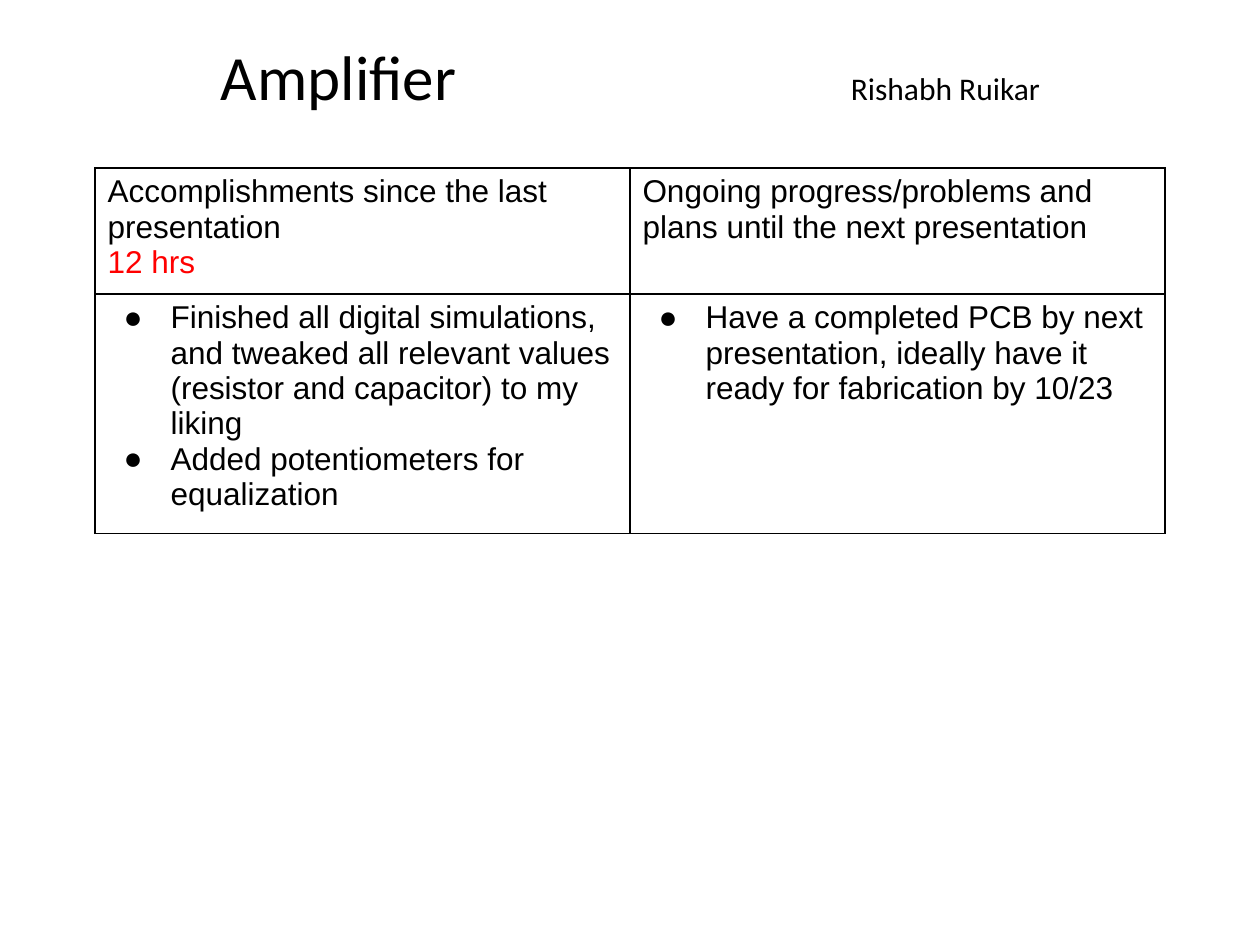
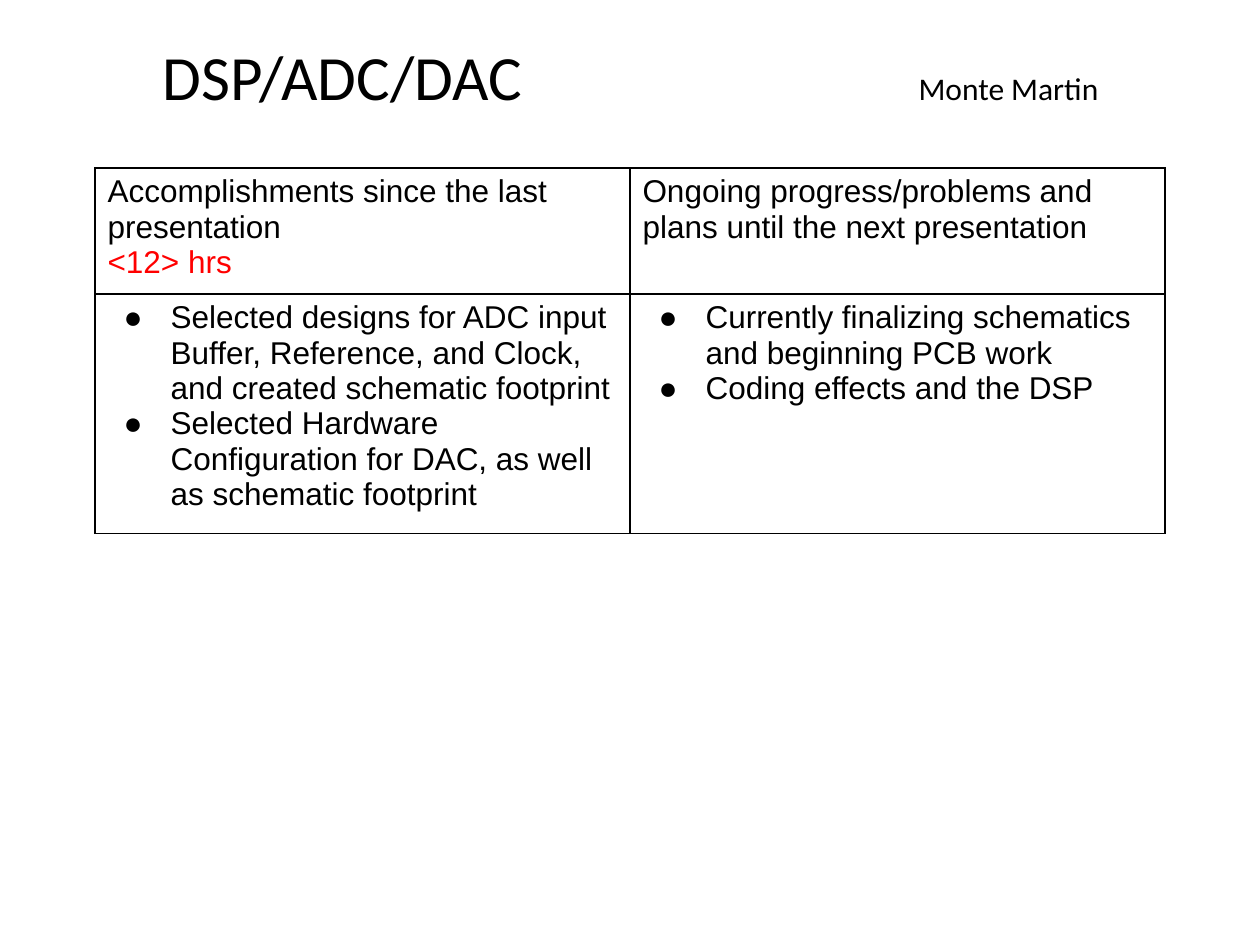
from pptx import Presentation
from pptx.dml.color import RGBColor
from pptx.enum.text import MSO_AUTO_SIZE as AutoSize, PP_ALIGN as Align
from pptx.oxml.ns import qn
from pptx.util import Pt
from lxml.etree import SubElement

EMU_PER_PX = 914400 / 126
BLACK = RGBColor(0, 0, 0)
RED = RGBColor(255, 0, 0)

TITLE = dict(name="Calibri", size=Pt(36))
PRESENTER = dict(name="Calibri", size=Pt(18))
BODY = dict(name="Arial", size=Pt(18))

TITLE_BOX = (53, 31, 1155, 89)
TABLE_LEFT, TABLE_TOP = 95, 168
COLUMN_WIDTH = 535
ROW_HEIGHTS = (88, 239)
BULLET_INDENT, BULLET_HANG = 63, 47

# How a piece of cell text starts
PLAIN, BULLET, NEW_LINE = "plain", "bullet", "new line"

DONE_HEADING = "Accomplishments since the last presentation"
PLANS_HEADING = "Ongoing progress/problems and plans until the next presentation"

# name_stop is the distance from the start of the topic to the presenter's name
REPORTS = [
    dict(
        topic="Amplifier", presenter="Rishabh Ruikar", name_stop=630,
        hours="12 hrs", hours_start=PLAIN,
        done=["Finished all digital simulations, and tweaked all relevant values "
              "(resistor and capacitor) to my liking",
              "Added potentiometers for equalization"],
        plans=["Have a completed PCB by next presentation, ideally have it ready "
               "for fabrication by 10/23"],
    ),
    dict(
        topic="DSP/ADC/DAC", presenter="Monte Martin", name_stop=756,
        hours="<12> hrs", hours_start=NEW_LINE,
        done=["Selected designs for ADC input Buffer, Reference, and Clock, "
              "and created schematic footprint",
              "Selected Hardware Configuration for DAC, as well as schematic footprint"],
        plans=["Currently finalizing schematics and beginning PCB work",
               "Coding effects and the DSP"],
    ),
]


def px(length):
    return round(length * EMU_PER_PX)


class Deck:
    def __init__(self):
        self.prs = Presentation()
        self.prs.slide_width, self.prs.slide_height = px(1260), px(945)
        self.slide = None

    def new_slide(self):
        self.slide = self.prs.slides.add_slide(self.prs.slide_layouts[6])

    def run(self, paragraph, text, style, color=BLACK):
        run = paragraph.add_run()
        run.text = text
        for attribute, value in style.items():
            setattr(run.font, attribute, value)
        run.font.color.rgb = color

    def title(self, topic, presenter, name_stop):
        frame = self.slide.shapes.add_textbox(*map(px, TITLE_BOX)).text_frame
        frame.word_wrap = True
        frame.auto_size = AutoSize.SHAPE_TO_FIT_TEXT
        line = frame.paragraphs[0]
        line.alignment = Align.CENTER
        stops = SubElement(line._p.get_or_add_pPr(), qn("a:tabLst"))
        SubElement(stops, qn("a:tab"), pos=str(px(name_stop)), algn="l")
        self.run(line, topic, TITLE)
        self.run(line, "\t" + presenter, PRESENTER)

    def table(self, rows):
        """Draw a ruled table; each cell is a list of (text, color, start)."""
        columns = len(rows[0])
        table = self.slide.shapes.add_table(
            len(rows), columns, px(TABLE_LEFT), px(TABLE_TOP),
            px(COLUMN_WIDTH * columns), px(sum(ROW_HEIGHTS))).table
        table.first_row = table.horz_banding = False
        for column in table.columns:
            column.width = px(COLUMN_WIDTH)
        for r, (height, contents) in enumerate(zip(ROW_HEIGHTS, rows)):
            table.rows[r].height = px(height)
            for c, pieces in enumerate(contents):
                self.cell(table.cell(r, c), pieces)

    def cell(self, cell, pieces):
        self.borders(cell)
        cell.fill.background()
        frame = cell.text_frame
        paragraph = frame.paragraphs[0]
        for i, (text, color, start) in enumerate(pieces):
            if start == NEW_LINE:
                paragraph.add_line_break()
            elif i:
                paragraph = frame.add_paragraph()
            if start == BULLET:
                self.bullet(paragraph)
            self.run(paragraph, text, BODY, color)

    def bullet(self, paragraph):
        props = paragraph._p.get_or_add_pPr()
        props.set("marL", str(px(BULLET_INDENT)))
        props.set("indent", str(-px(BULLET_HANG)))
        color = SubElement(props, qn("a:buClr"))
        SubElement(color, qn("a:srgbClr"), val=str(BLACK))
        SubElement(props, qn("a:buFont"), typeface=BODY["name"])
        SubElement(props, qn("a:buChar"), char="●")

    def borders(self, cell):
        props = cell._tc.get_or_add_tcPr()
        for side in ("lnL", "lnR", "lnT", "lnB"):
            line = SubElement(props, qn(f"a:{side}"), w=str(Pt(1)))
            fill = SubElement(line, qn("a:solidFill"))
            SubElement(fill, qn("a:srgbClr"), val=str(BLACK))


def bullets(items):
    return [(item, BLACK, BULLET) for item in items]


def main():
    deck = Deck()
    for report in REPORTS:
        deck.new_slide()
        deck.title(report["topic"], report["presenter"], report["name_stop"])
        headings = [
            [(DONE_HEADING, BLACK, PLAIN),
             (report["hours"], RED, report["hours_start"])],
            [(PLANS_HEADING, BLACK, PLAIN)],
        ]
        deck.table([headings, [bullets(report["done"]), bullets(report["plans"])]])
    deck.prs.save("out.pptx")


if __name__ == "__main__":
    main()
